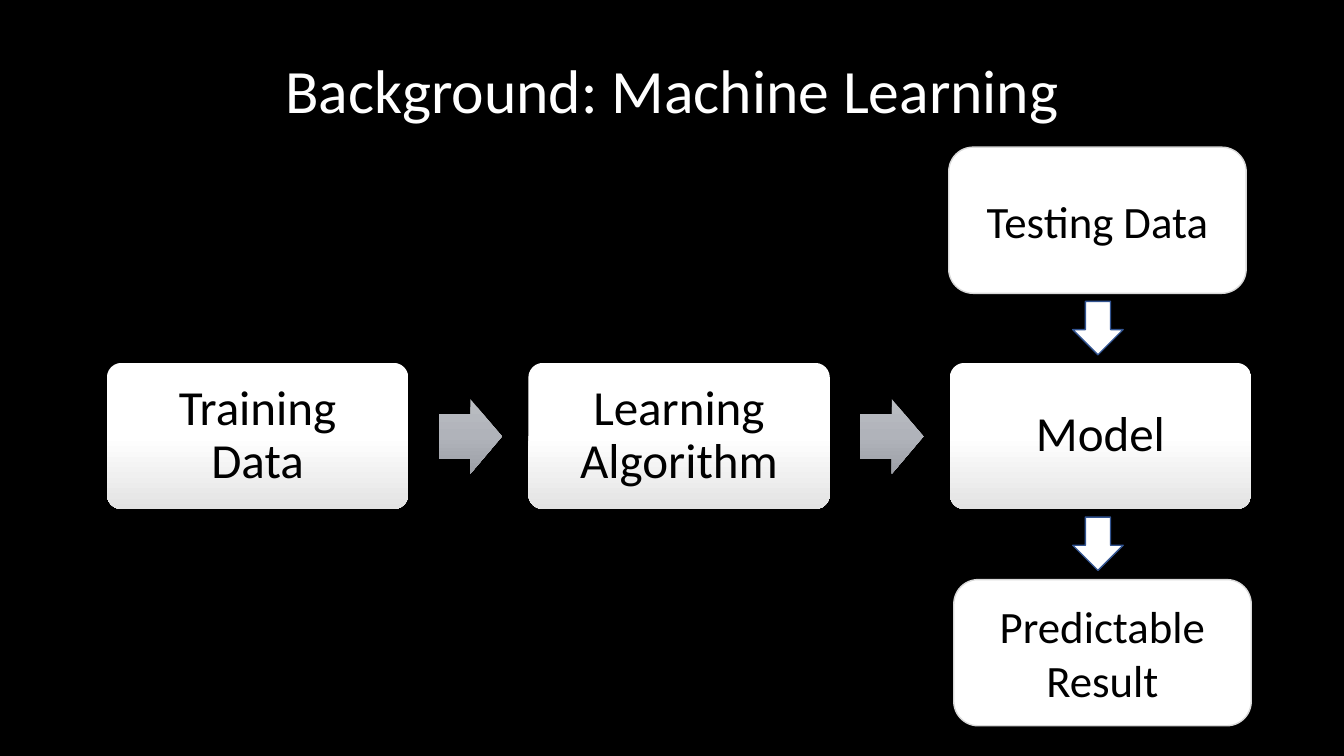
"""Build a slide that shows the machine learning flow."""
from copy import deepcopy

from pptx import Presentation
from pptx.dml.color import RGBColor
from pptx.enum.shapes import MSO_SHAPE
from pptx.enum.text import MSO_ANCHOR, PP_ALIGN
from pptx.oxml.ns import qn
from pptx.util import Pt

PX = 9144
BLACK = RGBColor(0x00, 0x00, 0x00)
WHITE = RGBColor(0xFF, 0xFF, 0xFF)
EDGE = RGBColor(0xD9, 0xD9, 0xD9)
BLUE = RGBColor(0x32, 0x54, 0x91)
GLOSS = (WHITE, WHITE, RGBColor(0xE3, 0xE3, 0xE3))
STEEL = (RGBColor(0xBA, 0xBD, 0xC2), RGBColor(0xB0, 0xB3, 0xBA),
         RGBColor(0x9C, 0x9F, 0xA6))
STEPS = ("Training Data", "Learning Algorithm", "Model")
LEFT, PITCH = 106, 418


def write(shape, text, size, color, space=1.0, inset=10):
    frame = shape.text_frame
    frame.word_wrap = True
    frame.vertical_anchor = MSO_ANCHOR.MIDDLE
    frame.margin_left = frame.margin_right = inset * PX
    para = frame.paragraphs[0]
    para.text = text
    para.alignment = PP_ALIGN.CENTER
    para.line_spacing = space
    para.font.name = "Calibri"
    para.font.size = Pt(size)
    para.font.color.rgb = color


def add_form(slide, kind, box, adjust=()):
    shape = slide.shapes.add_shape(kind, *(n * PX for n in box))
    shape.shadow.inherit = False
    for i, value in enumerate(adjust):
        shape.adjustments[i] = value
    return shape


def shade(shape, colors):
    shape.line.fill.background()
    fill = shape.fill
    fill.gradient()
    fill.gradient_angle = 270
    stops = shape._element.spPr.find(qn("a:gradFill")).find(qn("a:gsLst"))
    stops.append(deepcopy(stops[-1]))
    for i, (stop, color) in enumerate(zip(fill.gradient_stops, colors)):
        stop.position = i / 2
        stop.color.rgb = color


def paint(shape, edge):
    shape.fill.solid()
    shape.fill.fore_color.rgb = WHITE
    shape.line.color.rgb = edge
    shape.line.width = Pt(1)


def add_title(slide, text):
    box = slide.shapes.add_textbox(*(n * PX for n in (92, 40, 1150, 106)))
    write(box, text, 44, WHITE, 0.9)


def add_step(slide, left, text):
    card = add_form(slide, MSO_SHAPE.ROUNDED_RECTANGLE,
                    (left, 360, 299, 145), (0.1,))
    shade(card, GLOSS)
    write(card, text, 35, BLACK, 0.9, 18)


def add_next(slide, left):
    arrow = add_form(slide, MSO_SHAPE.RIGHT_ARROW,
                     (left, 396, 63, 74), (0.6, 0.5))
    shade(arrow, STEEL)


def add_data(slide, left, top, text):
    card = add_form(slide, MSO_SHAPE.ROUNDED_RECTANGLE, (left, top, 295, 145))
    paint(card, EDGE)
    write(card, text, 32, BLACK)


def add_down(slide, top):
    paint(add_form(slide, MSO_SHAPE.DOWN_ARROW, (1064, top, 50, 53)), BLUE)


def main():
    deck = Presentation()
    deck.slide_width, deck.slide_height = 1333 * PX, 750 * PX
    slide = deck.slides.add_slide(deck.slide_layouts[6])
    slide.background.fill.solid()
    slide.background.fill.fore_color.rgb = BLACK
    add_title(slide, "Background: Machine Learning")
    for i, text in enumerate(STEPS):
        left = LEFT + i * PITCH
        add_step(slide, left, text)
        if i < len(STEPS) - 1:
            add_next(slide, left + 329)
    add_data(slide, 941, 146, "Testing Data")
    add_down(slide, 299)
    add_data(slide, 946, 575, "Predictable Result")
    add_down(slide, 513)
    deck.save("out.pptx")


if __name__ == "__main__":
    main()
